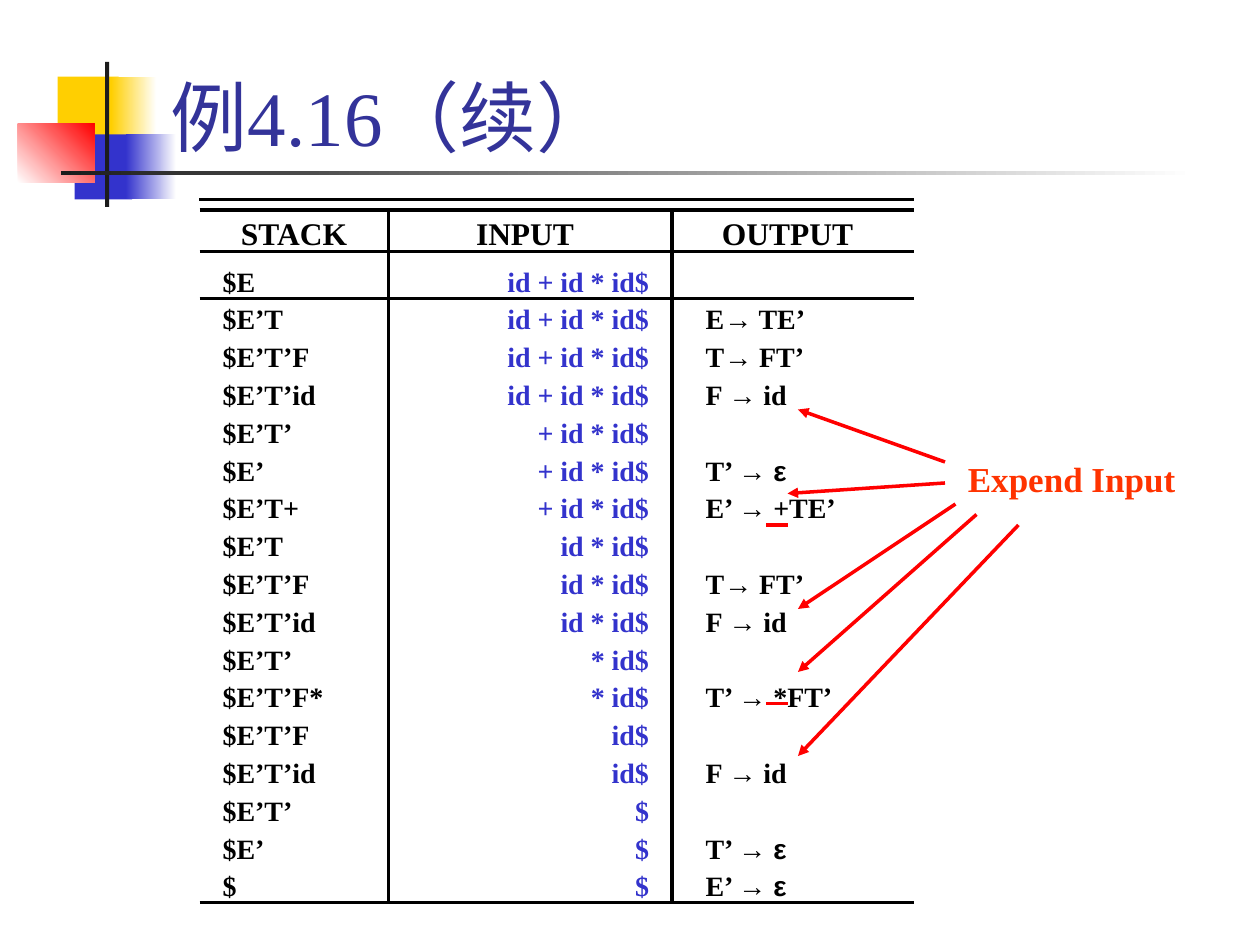
import itertools

import pptx
import pptx.dml.color
import pptx.enum.shapes
import pptx.enum.text
import pptx.oxml
import pptx.oxml.ns
import pptx.util

RGBColor = pptx.dml.color.RGBColor
Align = pptx.enum.text.PP_ALIGN
Anchor = pptx.enum.text.MSO_ANCHOR
BLACK = RGBColor(0x00, 0x00, 0x00)
WHITE = RGBColor(0xFF, 0xFF, 0xFF)
CHARCOAL = RGBColor(0x1C, 0x1C, 0x1C)
YELLOW = RGBColor(0xFF, 0xCF, 0x01)
BLUE = RGBColor(0x33, 0x33, 0xCC)
NAVY = RGBColor(0x33, 0x33, 0x99)
RED = RGBColor(0xFF, 0x00, 0x00)
ORANGE = RGBColor(0xFF, 0x33, 0x00)

PX = 7620
SERIF = "Times New Roman"
SYMBOL = "Arial"
NO_GRID_STYLE = "{2D5ABB26-0587-4C30-8999-92F81FD0307C}"
RULE_WIDTH = pptx.util.Pt(2)

HEADINGS = ("STACK", "INPUT", "OUTPUT")
STEPS = [
    ("$E", "id + id * id$", ""),
    ("$E’T", "id + id * id$", "E→ TE’"),
    ("$E’T’F", "id + id * id$", "T→ FT’"),
    ("$E’T’id", "id + id * id$", "F → id"),
    ("$E’T’", "+ id * id$", ""),
    ("$E’", "+ id * id$", "T’ → ε"),
    ("$E’T+", "+ id * id$", "E’ → +TE’"),
    ("$E’T", "id * id$", ""),
    ("$E’T’F", "id * id$", "T→ FT’"),
    ("$E’T’id", "id * id$", "F → id"),
    ("$E’T’", "* id$", ""),
    ("$E’T’F*", "* id$", "T’ → *FT’"),
    ("$E’T’F", "id$", ""),
    ("$E’T’id", "id$", "F → id"),
    ("$E’T’", "$", ""),
    ("$E’", "$", "T’ → ε"),
    ("$", "$", "E’ → ε"),
]
COLUMN_WIDTHS = (180, 270, 230)
HEADING_MARGINS = ((0, 0), (0, 10), (0, 10))
STEP_MARGINS = ((22, 0), (0, 22), (32, 0))
STEP_ALIGNMENTS = (Align.LEFT, Align.RIGHT, Align.LEFT)
STEP_COLORS = (BLACK, BLUE, BLACK)


def style_paragraph(paragraph, size, color, bold):
    paragraph.font.name = SERIF
    paragraph.font.size = pptx.util.Pt(size)
    paragraph.font.color.rgb = color
    paragraph.font.bold = bold


def add_label(slide, box, text, size, color, bold=False, anchor=Anchor.TOP):
    shape = slide.shapes.add_textbox(*(value * PX for value in box))
    frame = shape.text_frame
    frame.word_wrap = True
    frame.vertical_anchor = anchor
    paragraph = frame.paragraphs[0]
    paragraph.text = text
    style_paragraph(paragraph, size, color, bold)


def add_block(slide, box, color, end_color=None, angle=0):
    shape = slide.shapes.add_shape(
        pptx.enum.shapes.MSO_SHAPE.RECTANGLE, *(value * PX for value in box)
    )
    shape.shadow.inherit = False
    shape.line.fill.background()
    if end_color is None:
        shape.fill.solid()
        shape.fill.fore_color.rgb = color
        return
    shape.fill.gradient()
    shape.fill.gradient_angle = angle
    for stop, stop_color in zip(shape.fill.gradient_stops, (color, end_color)):
        stop.color.rgb = stop_color


def add_rule(slide, start, end, color, arrow=False):
    connector = slide.shapes.add_connector(
        pptx.enum.shapes.MSO_CONNECTOR.STRAIGHT, *(value * PX for value in start + end)
    )
    connector.line.color.rgb = color
    connector.line.width = RULE_WIDTH
    properties = connector.element.spPr
    if arrow:
        line = properties.find(pptx.oxml.ns.qn("a:ln"))
        line.append(pptx.oxml.parse_xml(
            f'<a:tailEnd {pptx.oxml.ns.nsdecls("a")} type="triangle"/>'))
    properties.append(pptx.oxml.parse_xml(
        f'<a:effectLst {pptx.oxml.ns.nsdecls("a")}/>'))


def set_borders(cell, sides):
    properties = cell._tc.get_or_add_tcPr()
    for index, side in enumerate(side for side in "LRTB" if side in sides):
        properties.insert(index, pptx.oxml.parse_xml(
            f'<a:ln{side} {pptx.oxml.ns.nsdecls("a")} w="{RULE_WIDTH}">'
            f'<a:solidFill><a:srgbClr val="{BLACK}"/></a:solidFill></a:ln{side}>'))


def fill_cell(cell, text, margins, size, color, alignment):
    cell.fill.background()
    cell.margin_left, cell.margin_right = (margin * PX for margin in margins)
    cell.margin_top = cell.margin_bottom = 0
    cell.vertical_anchor = Anchor.BOTTOM
    paragraph = cell.text_frame.paragraphs[0]
    paragraph.alignment = alignment
    paragraph.line_spacing = pptx.util.Pt(size + 2)
    style_paragraph(paragraph, size, color, True)
    for is_symbol, letters in itertools.groupby(text, lambda letter: letter in "→ε"):
        run = paragraph.add_run()
        run.text = "".join(letters)
        if is_symbol:
            run.font.name = SYMBOL


def add_header(slide, left, top):
    blocks = [
        ((41, 14, 58, 62), YELLOW, None, 0),
        ((92, 14, 43, 62), YELLOW, WHITE, 0),
        ((57, 69, 55, 62), BLUE, None, 0),
        ((106, 69, 48, 62), BLUE, WHITE, 0),
        ((3, 59, 73, 56), WHITE, RED, 45),
        ((86, 0, 4, 138), CHARCOAL, None, 0),
        ((44, 104, 1080, 4), CHARCOAL, WHITE, 0),
    ]
    for (x, y, width, height), color, end_color, angle in blocks:
        add_block(slide, (left + x, top + y, width, height), color, end_color, angle)
    add_label(slide, (left + 137, top - 49, 1022, 150), "例4.16（续）", 44, NAVY,
              anchor=Anchor.BOTTOM)


def add_parse_table(slide, left, top):
    width = sum(COLUMN_WIDTHS)
    heights = [40, 44] + [36] * (len(STEPS) - 1)
    add_rule(slide, (left, top), (left + width, top), BLACK)
    frame = slide.shapes.add_table(
        len(heights), len(COLUMN_WIDTHS),
        left * PX, (top + 10) * PX, width * PX, sum(heights) * PX)
    table = frame.table
    table.first_row = table.horz_banding = False
    table._tbl.tblPr.find(pptx.oxml.ns.qn("a:tableStyleId")).text = NO_GRID_STYLE
    for column, column_width in zip(table.columns, COLUMN_WIDTHS):
        column.width = column_width * PX
    for row, height in zip(table.rows, heights):
        row.height = height * PX
    for row_index, texts in enumerate([HEADINGS] + STEPS):
        for column_index, text in enumerate(texts):
            cell = table.cell(row_index, column_index)
            if row_index == 0:
                fill_cell(cell, text, HEADING_MARGINS[column_index], 18, BLACK, Align.CENTER)
            else:
                fill_cell(cell, text, STEP_MARGINS[column_index], 16,
                          STEP_COLORS[column_index], STEP_ALIGNMENTS[column_index])
            sides = "L" if column_index > 0 else ""
            sides += "R" if column_index < len(texts) - 1 else ""
            sides += "T" if row_index < 2 else ""
            sides += "B" if row_index in (0, len(STEPS)) else ""
            set_borders(cell, sides)


def add_expend_note(slide, left, top):
    add_label(slide, (left + 180, top + 40, 250, 53), "Expend Input", 20, ORANGE, bold=True)
    arrows = [
        ((170, 50), (30, 0)),
        ((170, 70), (20, 80)),
        ((180, 90), (30, 190)),
        ((200, 100), (30, 250)),
        ((240, 110), (30, 330)),
    ]
    for start, end in arrows:
        add_rule(slide, (left + start[0], top + start[1]),
                 (left + end[0], top + end[1]), RED, arrow=True)
    for y in (110, 280):
        add_rule(slide, (left, top + y), (left + 20, top + y), RED)


def main():
    presentation = pptx.Presentation()
    presentation.slide_width = 1200 * PX
    presentation.slide_height = 900 * PX
    slide = presentation.slides.add_slide(presentation.slide_layouts[6])
    add_header(slide, 14, 59)
    add_parse_table(slide, 190, 190)
    add_expend_note(slide, 730, 390)
    presentation.save("out.pptx")


if __name__ == "__main__":
    main()
